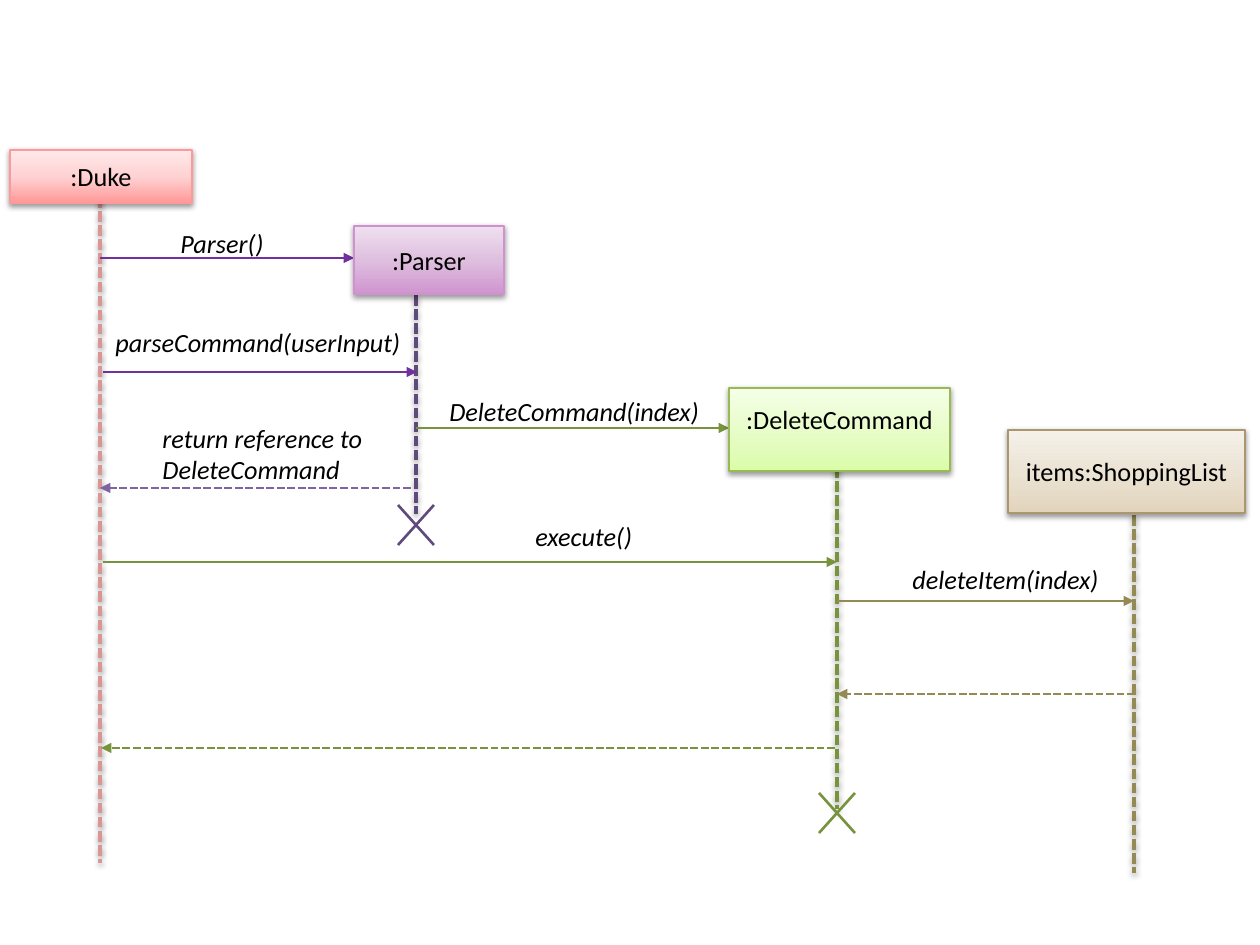
from copy import deepcopy
from dataclasses import dataclass
from typing import NamedTuple, Optional

from lxml import etree
from pptx import Presentation
from pptx.dml.color import RGBColor
from pptx.enum.dml import MSO_LINE
from pptx.enum.shapes import MSO_CONNECTOR, MSO_SHAPE
from pptx.enum.text import MSO_ANCHOR, MSO_AUTO_SIZE, PP_ALIGN
from pptx.oxml.ns import qn
from pptx.util import Emu, Pt

DASHED = MSO_LINE.SQUARE_DOT
STRAIGHT = MSO_CONNECTOR.STRAIGHT
RECTANGLE = MSO_SHAPE.RECTANGLE
TOP, MIDDLE = MSO_ANCHOR.TOP, MSO_ANCHOR.MIDDLE
CENTER, LEFT = PP_ALIGN.CENTER, PP_ALIGN.LEFT
FIT_TEXT = MSO_AUTO_SIZE.SHAPE_TO_FIT_TEXT

PX_PER_INCH = 126
SLIDE_WIDTH, SLIDE_HEIGHT = 1260, 945
CROSS_HALF_WIDTH, CROSS_HALF_HEIGHT = 18, 20


@dataclass(frozen=True)
class Theme:
    font: str = "Calibri"
    text_size: int = 15
    line_width: float = 1.5
    lifeline_width: float = 2
    text: str = "000000"
    shadow: str = "000000"
    pink: str = "D99694"
    plum: str = "604A7B"
    purple: str = "7030A0"
    lavender: str = "8064A2"
    green: str = "77933C"
    brown: str = "948A54"


THEME = Theme()


class Box(NamedTuple):
    left: int
    top: int
    width: int
    height: int


class Point(NamedTuple):
    x: int
    y: int


class Participant(NamedTuple):
    name: str
    box: Box
    border: str
    gradient: tuple  # (position, colour) from bottom to top
    lifeline_x: int
    lifeline_top: int
    lifeline_bottom: int
    lifeline_color: str
    destroyed_at: Optional[int] = None
    top_inset: Optional[int] = None  # set when the name sits at the top


class Message(NamedTuple):
    start_x: int
    end_x: int
    y: int
    color: str
    label: str = ""
    label_box: Optional[Box] = None
    dashed: bool = False


PARTICIPANTS = (
    Participant(":Duke", Box(10, 150, 182, 53), "FF9999",
                ((0, "FF9999"), (0.5, "FFD2D3"), (1, "FFE9E9")),
                100, 197, 863, THEME.pink),
    Participant(":Parser", Box(354, 226, 150, 68), "CF92CF",
                ((0, "CF95CF"), (0.5, "DFBFDF"), (1, "EFE0EF")),
                416, 295, 514, THEME.plum, destroyed_at=525),
    Participant(":DeleteCommand", Box(729, 388, 221, 83), "98B955",
                ((0, "DAFDA7"), (0.35, "E4FCC2"), (1, "F5FFE7")),
                837, 467, 809, THEME.green, destroyed_at=813, top_inset=15),
    Participant("items:ShoppingList", Box(1008, 430, 237, 83), "AB966D",
                ((0, "E2D4BC"), (0.5, "EBE3D4"), (1, "F5F1EA")),
                1134, 515, 873, THEME.brown),
)

MESSAGES = (
    Message(100, 354, 258, THEME.purple, "Parser()", Box(168, 221, 163, 44)),
    Message(103, 417, 372, THEME.purple, "parseCommand(userInput)",
            Box(103, 320, 344, 44)),
    Message(416, 729, 428, THEME.green, "DeleteCommand(index)",
            Box(437, 389, 287, 44)),
    Message(411, 100, 488, THEME.lavender, "return reference to DeleteCommand",
            Box(150, 416, 236, 77), dashed=True),
    Message(103, 837, 562, THEME.green, "execute()", Box(523, 514, 122, 44)),
    Message(837, 1134, 601, THEME.brown, "deleteItem(index)",
            Box(900, 557, 218, 44)),
    Message(1135, 837, 694, THEME.brown, dashed=True),
    Message(835, 101, 748, THEME.green, dashed=True),
)


def px(value: int) -> Emu:
    return Emu(round(value * 914400 / PX_PER_INCH))


def rgb(color: str) -> RGBColor:
    return RGBColor.from_string(color)


def set_shadow(shape, visible: bool) -> None:
    """Replace the inherited shadow by a soft one below, or by none."""
    effects = etree.SubElement(shape.element.spPr, qn("a:effectLst"))
    if visible:
        shadow = etree.SubElement(effects, qn("a:outerShdw"), blurRad="40000",
                                  dist="20000", dir="5400000", rotWithShape="0")
        color = etree.SubElement(shadow, qn("a:srgbClr"), val=THEME.shadow)
        etree.SubElement(color, qn("a:alpha"), val="38000")


def add_line(slide, start: Point, end: Point, color: str,
             width: float = THEME.line_width, dashed: bool = False,
             arrow: bool = False, shadow: bool = False) -> None:
    connector = slide.shapes.add_connector(
        STRAIGHT, px(start.x), px(start.y), px(end.x), px(end.y))
    connector.line.color.rgb = rgb(color)
    connector.line.width = Pt(width)
    if dashed:
        connector.line.dash_style = DASHED
    if arrow:
        outline = connector.element.spPr.find(qn("a:ln"))
        etree.SubElement(outline, qn("a:tailEnd"), type="triangle")
    set_shadow(connector, shadow)


def set_text(shape, text: str, alignment, italic: bool = False) -> None:
    frame = shape.text_frame
    frame.word_wrap = True
    frame.text = text
    paragraph = frame.paragraphs[0]
    paragraph.alignment = alignment
    font = paragraph.runs[0].font
    font.name = THEME.font
    font.size = Pt(THEME.text_size)
    font.italic = italic
    font.color.rgb = rgb(THEME.text)


def set_gradient(shape, stops: tuple) -> None:
    shape.fill.gradient()
    shape.fill.gradient_angle = 90
    stop_list = shape.element.spPr.find(qn("a:gradFill")).find(qn("a:gsLst"))
    while len(stop_list) < len(stops):
        stop_list.append(deepcopy(stop_list[-1]))
    for stop, (position, color) in zip(shape.fill.gradient_stops, stops):
        stop.position = position
        stop.color.rgb = rgb(color)


def add_lifeline(slide, participant: Participant) -> None:
    x, color = participant.lifeline_x, participant.lifeline_color
    add_line(slide, Point(x, participant.lifeline_top),
             Point(x, participant.lifeline_bottom), color,
             THEME.lifeline_width, dashed=True, shadow=True)
    if participant.destroyed_at is not None:
        for rise in (-CROSS_HALF_HEIGHT, CROSS_HALF_HEIGHT):
            add_line(slide,
                     Point(x + CROSS_HALF_WIDTH, participant.destroyed_at - rise),
                     Point(x - CROSS_HALF_WIDTH, participant.destroyed_at + rise),
                     color)


def add_participant_box(slide, participant: Participant) -> None:
    shape = slide.shapes.add_shape(RECTANGLE, *map(px, participant.box))
    set_gradient(shape, participant.gradient)
    shape.line.color.rgb = rgb(participant.border)
    shape.line.width = Pt(THEME.line_width)
    set_shadow(shape, True)
    set_text(shape, participant.name, CENTER)
    frame = shape.text_frame
    frame.vertical_anchor = MIDDLE
    if participant.top_inset is not None:
        frame.vertical_anchor = TOP
        frame.margin_top = px(participant.top_inset)


def add_message(slide, message: Message) -> None:
    add_line(slide, Point(message.start_x, message.y),
             Point(message.end_x, message.y), message.color,
             dashed=message.dashed, arrow=True)
    if message.label_box:
        label = slide.shapes.add_textbox(*map(px, message.label_box))
        set_text(label, message.label, LEFT, italic=True)
        label.text_frame.auto_size = FIT_TEXT


def main() -> None:
    presentation = Presentation()
    presentation.slide_width = px(SLIDE_WIDTH)
    presentation.slide_height = px(SLIDE_HEIGHT)
    slide = presentation.slides.add_slide(presentation.slide_layouts[6])
    for participant in PARTICIPANTS:
        add_lifeline(slide, participant)
    for message in MESSAGES:
        add_message(slide, message)
    for participant in PARTICIPANTS:
        add_participant_box(slide, participant)
    presentation.save("out.pptx")


if __name__ == "__main__":
    main()
